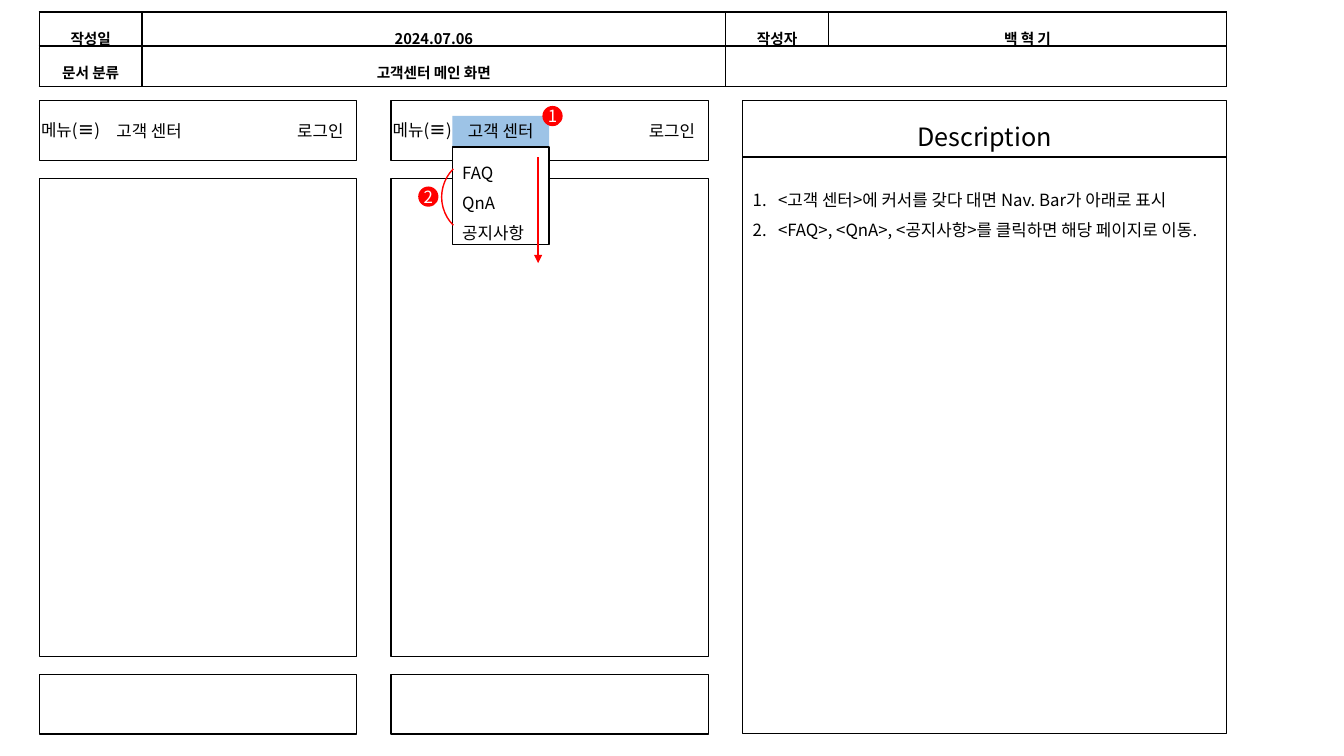
from pptx import Presentation
from pptx.dml.color import RGBColor
from pptx.enum.shapes import MSO_CONNECTOR, MSO_SHAPE
from pptx.enum.text import MSO_ANCHOR, MSO_AUTO_SIZE, PP_ALIGN
from pptx.oxml.ns import qn
from pptx.util import Cm, Pt
from lxml.etree import SubElement

FONT = "Noto Sans CJK KR"
COLORS = {"black": "000000", "white": "FFFFFF", "red": "FF0000", "hover": "9DC3E6"}
MENU = [("메뉴(", False), ("≡", True), (")", False)]
LOGIN = "로그인"
SUPPORT = "고객 센터"
DROPDOWN = ["FAQ", "QnA", "공지사항"]
DESCRIPTION_TITLE = "Description"
DESCRIPTION = [
    "<고객 센터>에 커서를 갖다 대면 Nav. Bar가 아래로 표시",
    "<FAQ>, <QnA>, <공지사항>를 클릭하면 해당 페이지로 이동.",
]
HEADER_TABLES = [
    (0.3, [("작성일", "LRTB"), ("2024.07.06", "LRTB"), ("작성자", "LRTB"), ("백 혁 기", "LRTB")]),
    (1.16, [("문서 분류", "LRTB"), ("고객센터 메인 화면", "LRTB"), ("", "LTB"), ("", "TRB")]),
]
HEADER_COLUMNS = [2.59, 14.71, 2.59, 10.03]
HEADER_HEIGHT = 0.84
LEFT = 0.99
PHONE_WIDTH = 8
PHONE_STEP = 8.86
PHONES = [(LEFT, None), (LEFT + PHONE_STEP, "hover")]
PHONE_FRAMES = [(2.54, 1.5), (4.5, 12.04), (17, 1.5)]
PANEL_LEFT, PANEL_WIDTH = 18.72, 12.19
MARKERS = [("1", 13.67, 2.67), ("2", 10.54, 4.7)]


def color(name):
    return RGBColor.from_string(COLORS[name])


def write(frame, paragraphs, size=12, ink="black", bold=None, align=PP_ALIGN.CENTER,
          spacing=None, numbered=False):
    for index, content in enumerate(paragraphs):
        para = frame.paragraphs[0] if index == 0 else frame.add_paragraph()
        para.alignment = align
        if spacing:
            para.line_spacing = spacing
        if numbered:
            properties = para._p.get_or_add_pPr()
            properties.set("marL", str(Cm(0.64)))
            properties.set("indent", str(-Cm(0.64)))
            SubElement(properties, qn("a:buFont")).set("typeface", "+mj-lt")
            SubElement(properties, qn("a:buAutoNum")).set("type", "arabicPeriod")
        for text, heavy in [(content, bold)] if isinstance(content, str) else content:
            span = para.add_run()
            span.text = text
            span.font.size = Pt(size)
            span.font.bold = heavy
            span.font.name = FONT
            span.font.color.rgb = color(ink)
            SubElement(span._r.get_or_add_rPr(), qn("a:ea")).set("typeface", FONT)


def add_box(page, left, top, width, height, fill=None, line=None, weight=1,
            kind=MSO_SHAPE.RECTANGLE):
    box = page.shapes.add_shape(kind, Cm(left), Cm(top), Cm(width), Cm(height))
    box.shadow.inherit = False
    if fill:
        box.fill.solid()
        box.fill.fore_color.rgb = color(fill)
    else:
        box.fill.background()
    if line:
        box.line.color.rgb = color(line)
        box.line.width = Pt(weight)
    else:
        box.line.fill.background()
    box.text_frame.word_wrap = True
    box.text_frame.vertical_anchor = MSO_ANCHOR.TOP
    return box


def add_label(page, left, top, width, height, paragraphs, **style):
    box = page.shapes.add_textbox(Cm(left), Cm(top), Cm(width), Cm(height))
    box.text_frame.word_wrap = True
    box.text_frame.auto_size = MSO_AUTO_SIZE.SHAPE_TO_FIT_TEXT
    write(box.text_frame, paragraphs, **style)


def add_phone(page, left, hover):
    for top, height in PHONE_FRAMES:
        add_box(page, left, top, PHONE_WIDTH, height, line="black")
    add_label(page, left - 0.43, 2.9, 2.44, 0.77, [MENU])
    add_label(page, left + 6.17, 2.92, 1.83, 0.77, [LOGIN])
    button = add_box(page, left + 1.55, 2.92, 2.44, 0.78, fill=hover)
    write(button.text_frame, [SUPPORT])


def add_header_table(page, top, cells):
    frame = page.shapes.add_table(1, len(cells), Cm(LEFT), Cm(top),
                                  Cm(sum(HEADER_COLUMNS)), Cm(HEADER_HEIGHT))
    table = frame.table
    for column, width in zip(table.columns, HEADER_COLUMNS):
        column.width = Cm(width)
    for cell, (text, sides) in zip(table.rows[0].cells, cells):
        write(cell.text_frame, [text], size=10.5, bold=True, spacing=1.5)
        properties = cell._tc.get_or_add_tcPr()
        for side in "LRTB":
            border = SubElement(properties, qn(f"a:ln{side}"), w=str(Pt(1)))
            if side in sides:
                paint = SubElement(border, qn("a:solidFill"))
                SubElement(paint, qn("a:srgbClr"), val=COLORS["black"])
            else:
                SubElement(border, qn("a:noFill"))
        cell.fill.solid()
        cell.fill.fore_color.rgb = color("white")


def add_arrow(page, left, top, bottom):
    arrow = page.shapes.add_connector(MSO_CONNECTOR.STRAIGHT, Cm(left), Cm(top),
                                      Cm(left), Cm(bottom))
    arrow.line.color.rgb = color("red")
    arrow.line.width = Pt(1)
    SubElement(arrow.line._get_or_add_ln(), qn("a:tailEnd"), type="triangle")
    SubElement(arrow._element.spPr, qn("a:effectLst"))


def main():
    deck = Presentation()
    deck.slide_width, deck.slide_height = Cm(33.87), Cm(19.05)
    page = deck.slides.add_slide(deck.slide_layouts[6])

    for left, hover in PHONES:
        add_phone(page, left, hover)
    dropdown = add_box(page, 11.4, 3.71, 2.44, 2.46, fill="white", line="black")
    write(dropdown.text_frame, DROPDOWN, align=PP_ALIGN.LEFT, spacing=1.5)

    add_label(page, PANEL_LEFT, 4.39, PANEL_WIDTH, 2.57, DESCRIPTION,
              align=PP_ALIGN.LEFT, spacing=1.5, numbered=True)
    title = add_box(page, PANEL_LEFT, 2.54, PANEL_WIDTH, 1.42, line="black", weight=0.75)
    write(title.text_frame, [DESCRIPTION_TITLE], size=18, spacing=1.5)
    for top, cells in HEADER_TABLES:
        add_header_table(page, top, cells)
    add_box(page, PANEL_LEFT, 3.96, PANEL_WIDTH, 14.53, line="black")

    add_arrow(page, 13.56, 3.96, 6.63)
    for number, left, top in MARKERS:
        marker = add_box(page, left, top, 0.51, 0.51, fill="red", kind=MSO_SHAPE.OVAL)
        frame = marker.text_frame
        frame.vertical_anchor = MSO_ANCHOR.MIDDLE
        frame.margin_left = frame.margin_right = frame.margin_top = frame.margin_bottom = 0
        write(frame, [number], ink="white")
    arc = add_box(page, 11.13, 3.96, 2.01, 2.01, line="red", kind=MSO_SHAPE.ARC)
    arc.rotation = 315
    arc._element.spPr.xfrm.set("flipH", "1")

    deck.save("out.pptx")


if __name__ == "__main__":
    main()
